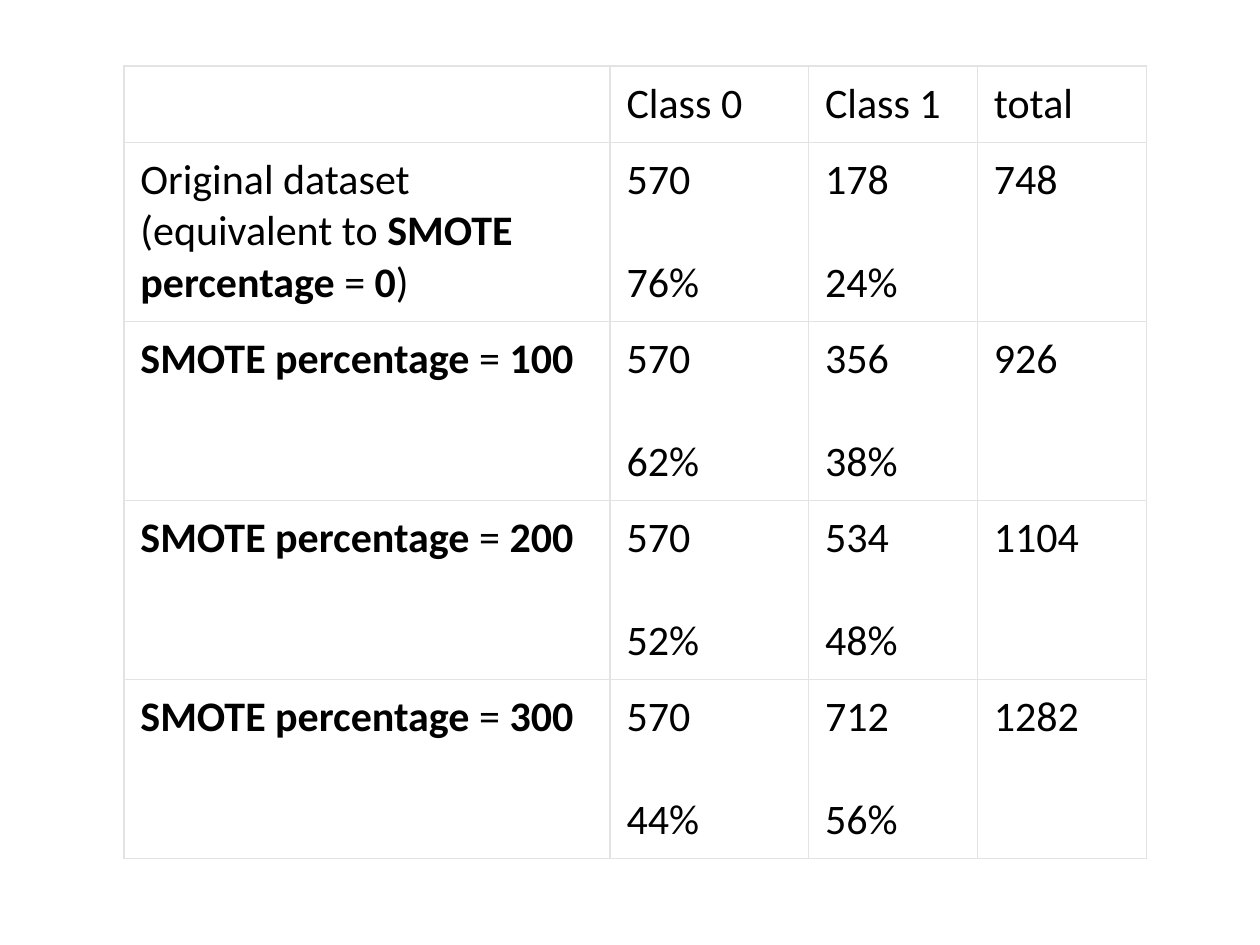
from lxml import etree
from pptx import Presentation
from pptx.dml.color import RGBColor
from pptx.enum.text import MSO_ANCHOR
from pptx.oxml.ns import qn
from pptx.util import Pt

TOP, BOTTOM = MSO_ANCHOR.TOP, MSO_ANCHOR.BOTTOM
COLORS = {"text": "000000", "line": "E3E3E3"}
FONT, SIZE, GAP = "Calibri", 24, 29.3
WIDTHS = [277.8, 113.4, 96.5, 96.5]
HEIGHTS = [43.2] + [101.9] * 4
HEADS = ["", "Class 0", "Class 1", "total"]
FIRST = "Original dataset\n(equivalent to **SMOTE percentage** = **0**)"
COUNTS = [
    (0, "570\n76%", "178\n24%", "748"),
    (100, "570\n62%", "356\n38%", "926"),
    (200, "570\n52%", "534\n48%", "1104"),
    (300, "570\n44%", "712\n56%", "1282"),
]


def write(frame, text, size=SIZE, color="text", gap=0):
    """Write lines as paragraphs, with bold between double stars."""
    for row, line in enumerate(text.split("\n")):
        para = frame.add_paragraph() if row else frame.paragraphs[0]
        para.space_before = Pt(gap if row else 0)
        for part, words in enumerate(line.split("**")):
            if words:
                run = para.add_run()
                run.text = words
                run.font.name = FONT
                run.font.size = Pt(size)
                run.font.bold = part % 2 == 1
                run.font.color.rgb = RGBColor.from_string(COLORS[color])


class Deck:
    """Hold the style and the current slide."""

    def __init__(self):
        self.file = Presentation()
        self.file.slide_width, self.file.slide_height = Pt(720), Pt(540)
        self.slide = self.file.slides.add_slide(self.file.slide_layouts[6])

    def border(self, cell, sides):
        """Draw the cell borders, given as side and width."""
        props = cell._tc.get_or_add_tcPr()
        for place, (side, width) in enumerate(sides.items()):
            line = etree.Element(qn(f"a:ln{side}"), w=str(Pt(width)))
            fill = etree.SubElement(line, qn("a:solidFill"))
            etree.SubElement(fill, qn("a:srgbClr"), val=COLORS["line"])
            props.insert(place, line)

    def table(self, left, top, rows):
        """Add a plain ruled table."""
        frame = self.slide.shapes.add_table(
            len(rows), len(WIDTHS), Pt(left), Pt(top),
            Pt(sum(WIDTHS)), Pt(sum(HEIGHTS)))
        grid = frame.table
        grid.first_row = grid.horz_banding = False
        for col, width in zip(grid.columns, WIDTHS):
            col.width = Pt(width)
        last = len(rows) - 1
        for r, texts in enumerate(rows):
            grid.rows[r].height = Pt(HEIGHTS[r])
            for c, text in enumerate(texts):
                cell = grid.cell(r, c)
                cell.fill.background()
                cell.vertical_anchor = TOP if r else BOTTOM
                cell.margin_left = cell.margin_right = Pt(9.36)
                cell.margin_top = cell.margin_bottom = Pt(7.2)
                write(cell.text_frame, text, gap=GAP if c else 0)
                self.border(cell, {"L": 1, "R": 1,
                                   "T": 0.75 if r else 1,
                                   "B": 0.75 if r < last else 1})


def main():
    deck = Deck()
    rows = [HEADS]
    for rate, *cells in COUNTS:
        label = f"**SMOTE percentage** = **{rate}**" if rate else FIRST
        rows.append([label, *cells])
    deck.table(70.9, 37.6, rows)
    deck.file.save("out.pptx")


if __name__ == "__main__":
    main()
